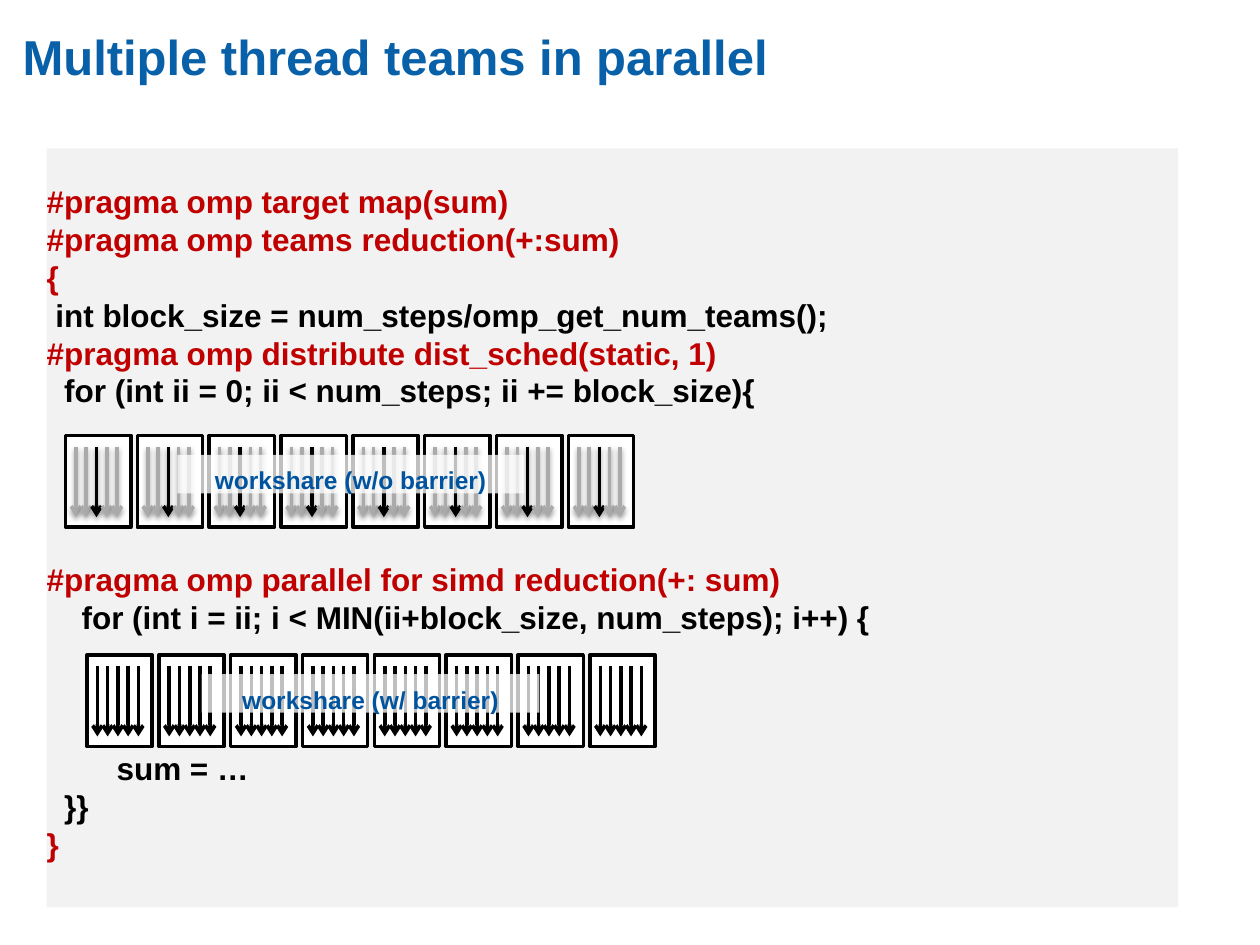
from lxml.etree import SubElement
from pptx import Presentation
from pptx.dml.color import RGBColor as RGB
from pptx.enum.shapes import MSO_CONNECTOR as CONN, MSO_SHAPE as SHAPE
from pptx.enum.text import MSO_ANCHOR as ANCHOR, PP_ALIGN as ALIGN
from pptx.oxml.ns import qn
from pptx.util import Inches, Pt

COLORS = {"title": "0860A8", "panel": "F2F2F2", "pragma": "C00000", "code": "000000",
          "label": "00549F", "tile": "FFFFFF", "active": "000000", "idle": "AAAAAA"}
FONT = "Arial"
LINE_PT = 21.6
TEAMS, THREADS = 8, 5
CODE = [
    ("pragma", 0, "#pragma omp target map(sum)"),
    ("pragma", 0, "#pragma omp teams reduction(+:sum)"),
    ("pragma", 0, "{"),
    ("code", 0, " int block_size = num_steps/omp_get_num_teams();"),
    ("pragma", 0, "#pragma omp distribute dist_sched(static, 1)"),
    ("code", 0, "  for (int ii = 0; ii < num_steps; ii += block_size){"),
    ("pragma", 4, "#pragma omp parallel for simd reduction(+: sum)"),
    ("code", 0, "    for (int i = ii; i < MIN(ii+block_size, num_steps); i++) {"),
    ("code", 3, "        sum = …"),
    ("code", 0, "  }}"),
    ("pragma", 0, "}"),
]


def color(name):
    """Return the named colour."""
    return RGB.from_string(COLORS[name])


def within(box, x, y, w, h):
    """Return the part of a box given by shares of its size."""
    left, top, width, height = box
    return [int(v) for v in (left + x * width, top + y * height, w * width, h * height)]


def style(p, size, name):
    """Set the font of a paragraph."""
    p.font.name, p.font.size, p.font.bold = FONT, Pt(size), True
    p.font.color.rgb = color(name)


def add_rect(shapes, box, fill, line=None):
    """Add a flat rectangle with text at the top left."""
    sp = shapes.add_shape(SHAPE.RECTANGLE, *box)
    sp.shadow.inherit = False
    sp.fill.solid()
    sp.fill.fore_color.rgb = color(fill)
    if line:
        sp.line.color.rgb = color(line)
        sp.line.width = Pt(2)
    else:
        sp.line.fill.background()
    sp.text_frame.vertical_anchor = ANCHOR.TOP
    return sp


def add_title(slide, box):
    """Add the slide title."""
    tf = slide.shapes.add_textbox(*box).text_frame
    tf.word_wrap = True
    tf.margin_left = tf.margin_right = tf.margin_top = tf.margin_bottom = 0
    p = tf.paragraphs[0]
    p.text = "Multiple thread teams in parallel"
    style(p, 28, "title")


def add_code(slide, box):
    """Add the code panel, leaving whole lines free for the team rows."""
    tf = add_rect(slide.shapes, box, "panel").text_frame
    tf.word_wrap = True
    tf.margin_left = tf.margin_right = 0
    tf.margin_top, tf.margin_bottom = Inches(0.27), Inches(0.04)
    for i, (name, gap, text) in enumerate(CODE):
        p = tf.add_paragraph() if i else tf.paragraphs[0]
        p.text = text
        p.alignment = ALIGN.LEFT
        p.line_spacing = Pt(LINE_PT)
        if gap:
            p.space_before = Pt(gap * LINE_PT)
        style(p, 18, name)


def add_thread(shapes, x, top, bottom, name, shadow):
    """Add one downward thread arrow."""
    cxn = shapes.add_connector(CONN.STRAIGHT, x, top, x, bottom)
    cxn.line.color.rgb = color(name)
    cxn.line.width = Pt(2)
    SubElement(cxn.line._get_or_add_ln(), qn("a:tailEnd"), type="arrow")
    effects = SubElement(cxn._element.spPr, qn("a:effectLst"))
    if shadow:
        outer = SubElement(effects, qn("a:outerShdw"), blurRad=str(Pt(3.1)), dist=str(Pt(1.6)),
                           dir="5400000", rotWithShape="0")
        SubElement(SubElement(outer, qn("a:srgbClr"), val="000000"), qn("a:alpha"), val="38000")


def add_team(shapes, box, idle):
    """Add one team tile with its threads."""
    add_rect(shapes, box, "tile", "active")
    for k in range(THREADS):
        x, top, _, height = within(box, 0.16 + 0.157 * k, 0.12, 0, 0.77)
        name = "idle" if idle and k != THREADS // 2 else "active"
        add_thread(shapes, x, top, top + height, name, idle)


def add_team_row(slide, box, text, label_left, label_width, idle):
    """Add a row of teams under a translucent label."""
    shapes = slide.shapes.add_group_shape().shapes
    tile = 0.115
    pitch = (1 - tile) / (TEAMS - 1)
    for i in range(TEAMS):
        add_team(shapes, within(box, i * pitch, 0, tile, 1), idle)
    sp = add_rect(shapes, within(box, label_left, 0.21, label_width, 0.42), "tile")
    SubElement(sp._element.spPr.find(".//" + qn("a:srgbClr")), qn("a:alpha"), val="75000")
    tf = sp.text_frame
    tf.word_wrap = False
    p = tf.paragraphs[0]
    p.text = text
    p.alignment = ALIGN.CENTER
    p.line_spacing, p.space_after = 1.15, Pt(10)
    style(p, 14, "label")


def main():
    """Build the slide."""
    prs = Presentation()
    prs.slide_width, prs.slide_height = Inches(10), Inches(7.5)
    slide = prs.slides.add_slide(prs.slide_layouts[6])
    page = (0, 0, prs.slide_width, prs.slide_height)
    add_code(slide, within(page, 0.037, 0.157, 0.898, 0.803))
    add_title(slide, within(page, 0.018, 0.028, 0.901, 0.129))
    add_team_row(slide, within(page, 0.052, 0.461, 0.451, 0.097),
                 "workshare (w/o barrier)", 0.197, 0.61, True)
    add_team_row(slide, within(page, 0.069, 0.693, 0.451, 0.097),
                 "workshare (w/ barrier)", 0.202, 0.594, False)
    prs.save("out.pptx")


if __name__ == "__main__":
    main()
